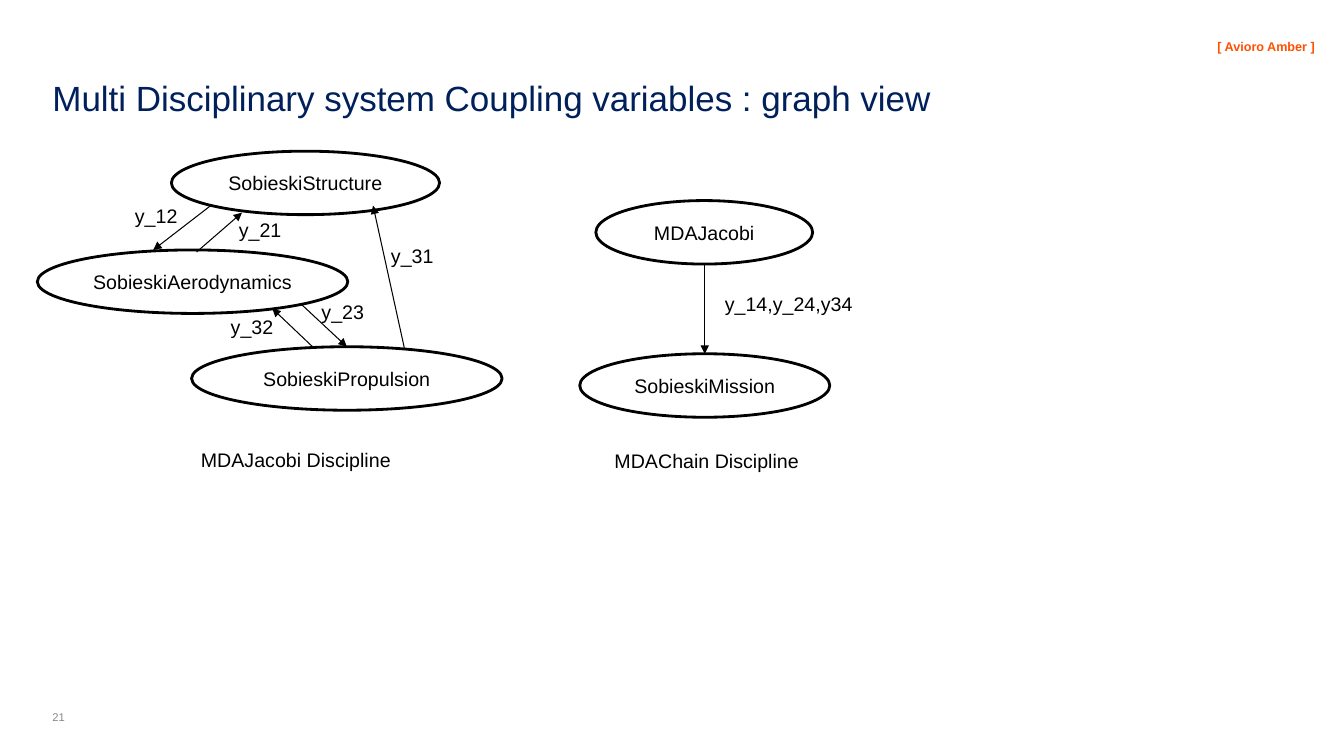
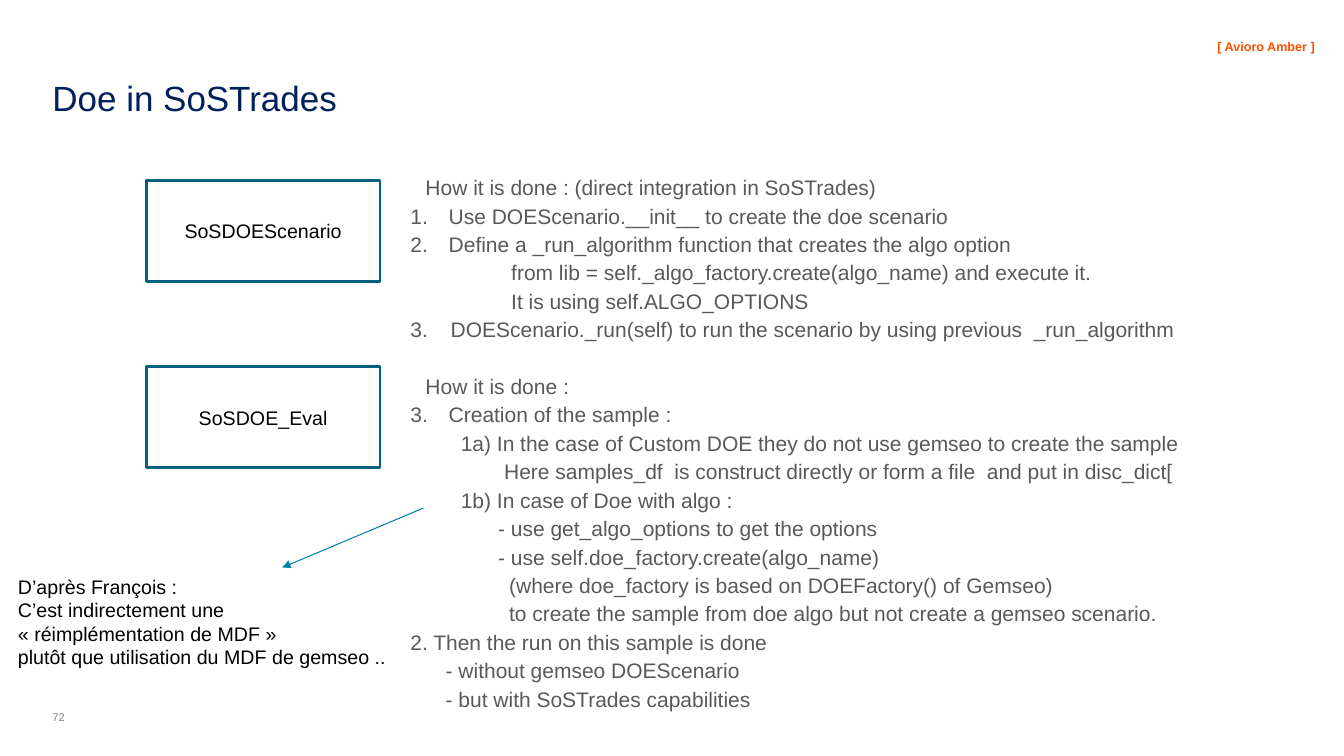
from lxml.etree import SubElement
from pptx import Presentation
from pptx.dml.color import RGBColor
from pptx.enum.shapes import MSO_CONNECTOR, MSO_SHAPE
from pptx.enum.text import MSO_ANCHOR, MSO_AUTO_SIZE, PP_ALIGN
from pptx.oxml.ns import qn
from pptx.util import Emu, Pt

PX = 9144  # 100 px to the inch
FONT = "Arial"
BLACK, WHITE = "000000", "FFFFFF"
NAVY, ORANGE, GREY, BODY_GREY = "00205B", "FE5000", "888888", "595959"
TEAL, BLUE = "006280", "0082A9"
LABEL_SIZE = 14
NODE_HEIGHT = LABEL_HEIGHT = 63, 34
NODE_HEIGHT, LABEL_HEIGHT = NODE_HEIGHT

# left, top, width, name
NODES = [
    (591, 199, 215, "MDAJacobi"),
    (575, 351, 248, "SobieskiMission"),
    (170, 150, 266, "SobieskiStructure"),
    (37, 248, 308, "SobieskiAerodynamics"),
    (190, 344, 308, "SobieskiPropulsion"),
]
COUPLINGS = [
    ((209, 204), (152, 248)),
    ((195, 250), (240, 211)),
    ((401, 345), (370, 204)),
    ((310, 344), (270, 306)),
    ((299, 302), (344, 344)),
    ((699, 262), (699, 351)),
]
# left, top, width, variables
COUPLING_LABELS = [
    (124, 197, 63, "y_12"),
    (227, 211, 63, "y_21"),
    (309, 293, 63, "y_23"),
    (219, 308, 63, "y_32"),
    (378, 237, 63, "y_31"),
    (709, 285, 147, "y_14,y_24,y34"),
]
GRAPH_CAPTIONS = [
    (186, 439, 215, "MDAJacobi Discipline"),
    (599, 440, 204, "MDAChain Discipline"),
]
# text, left margin, hanging indent, number the list starts at, space before in points
STEPS = [
    ("How it is done : (direct integration in SoSTrades)", 15, 0, None, 0),
    ("Use DOEScenario.__init__ to create the doe scenario", 38, 38, 1, 0),
    ("Define a _run_algorithm function that creates the algo option", 38, 38, 1, 0),
    ("from lib = self._algo_factory.create(algo_name) and execute it.", 100, 0, None, 0),
    ("It is using self.ALGO_OPTIONS", 100, 0, None, 0),
    ("3.\tDOEScenario._run(self) to run the scenario by using previous  _run_algorithm",
     40, 40, None, 0),
    ("How it is done :", 15, 0, None, 20),
    ("Creation of the sample :", 38, 38, 3, 0),
    ("1a) In the case of Custom DOE they do not use gemseo to create the sample",
     50, 0, None, 0),
    ("Here samples_df  is construct directly or form a file  and put in disc_dict[",
     93, 0, None, 0),
    ("1b) In case of Doe with algo :", 50, 0, None, 0),
    ("- use get_algo_options to get the options", 87, 0, None, 0),
    ("- use self.doe_factory.create(algo_name)", 87, 0, None, 0),
    ("(where doe_factory is based on DOEFactory() of Gemseo)", 98, 0, None, 0),
    ("to create the sample from doe algo but not create a gemseo scenario.",
     98, 0, None, 0),
    ("2. Then the run on this sample is done", 0, 0, None, 0),
    ("- without gemseo DOEScenario", 35, 0, None, 0),
    ("- but with SoSTrades capabilities", 35, 0, None, 0),
]
FRENCH_REMARK = [
    "D’après François :",
    "C’est indirectement une",
    "« réimplémentation de MDF »",
    "plutôt que utilisation du MDF de gemseo ..",
]


def px(*lengths):
    return [Emu(length * PX) for length in lengths]


def rgb(color):
    return RGBColor.from_string(color)


def write(paragraph, text, size, color=BLACK, bold=False, align=PP_ALIGN.LEFT,
          spacing=None):
    run = paragraph.add_run()
    run.text = text
    run.font.name = FONT
    run.font.size = Pt(size)
    run.font.bold = bold
    run.font.color.rgb = rgb(color)
    paragraph.alignment = align
    if spacing:
        paragraph.line_spacing = spacing


def clear_insets(frame):
    frame.margin_left = frame.margin_top = frame.margin_right = frame.margin_bottom = 0


def place_placeholder(placeholder, left, top, width, height):
    """Move a placeholder and return its text frame, top-anchored without insets."""
    placeholder.left, placeholder.top, placeholder.width, placeholder.height = px(
        left, top, width, height)
    frame = placeholder.text_frame
    clear_insets(frame)
    frame.vertical_anchor = MSO_ANCHOR.TOP
    frame.auto_size = MSO_AUTO_SIZE.NONE
    frame.word_wrap = True
    return frame


def add_marking(slide, box, text, size, color, **style):
    frame = slide.shapes.add_textbox(*px(*box)).text_frame
    clear_insets(frame)
    frame.word_wrap = True
    write(frame.paragraphs[0], text, size, color, **style)


def add_titled_slide(deck, layout_index, title, number):
    slide = deck.slides.add_slide(deck.slide_layouts[layout_index])
    frame = place_placeholder(slide.shapes.title, 52, 72, 1228, 98)
    write(frame.paragraphs[0], title, 25, NAVY, spacing=1.1)
    add_marking(slide, (52, 705, 31, 24), number, 8, GREY)
    add_marking(slide, (1203, 37, 101, 16), "[ Avioro Amber ]", 9, ORANGE,
                bold=True, align=PP_ALIGN.RIGHT, spacing=1.13)
    return slide


def add_node(slide, outline, box, name, line_color, fill=None):
    node = slide.shapes.add_shape(outline, *px(*box))
    node.shadow.inherit = False
    if fill:
        node.fill.solid()
        node.fill.fore_color.rgb = rgb(fill)
    else:
        node.fill.background()
    node.line.color.rgb = rgb(line_color)
    node.line.width = Pt(2)
    node.text_frame.vertical_anchor = MSO_ANCHOR.MIDDLE
    write(node.text_frame.paragraphs[0], name, LABEL_SIZE, align=PP_ALIGN.CENTER)


def add_arrow(slide, start, end, color):
    arrow = slide.shapes.add_connector(MSO_CONNECTOR.STRAIGHT, *px(*start, *end))
    arrow.line.color.rgb = rgb(color)
    arrow.line.width = Pt(0.75)
    SubElement(arrow.line._get_or_add_ln(), qn("a:tailEnd"), type="triangle")
    SubElement(arrow._element.spPr, qn("a:effectLst"))


def add_label(slide, box, lines, align=PP_ALIGN.LEFT):
    frame = slide.shapes.add_textbox(*px(*box)).text_frame
    frame.word_wrap = False
    frame.auto_size = MSO_AUTO_SIZE.SHAPE_TO_FIT_TEXT
    for index, line in enumerate(lines):
        paragraph = frame.add_paragraph() if index else frame.paragraphs[0]
        write(paragraph, line, LABEL_SIZE, align=align)


def set_list_format(paragraph, margin, hanging, first_number):
    properties = paragraph._p.get_or_add_pPr()
    properties.set("marL", str(margin * PX))
    properties.set("indent", str(-hanging * PX))
    if first_number is None:
        SubElement(properties, qn("a:buNone"))
        return
    numbering = SubElement(properties, qn("a:buAutoNum"), type="arabicPeriod")
    if first_number > 1:
        numbering.set("startAt", str(first_number))


def fill_steps(frame):
    for index, (text, margin, hanging, first_number, gap) in enumerate(STEPS):
        paragraph = frame.add_paragraph() if index else frame.paragraphs[0]
        set_list_format(paragraph, margin, hanging, first_number)
        paragraph.space_before = Pt(gap)
        write(paragraph, text, 15, BODY_GREY, spacing=1.13)


def build_coupling_graph(deck):
    slide = add_titled_slide(
        deck, 5, "Multi Disciplinary system Coupling variables : graph view", "21")
    for left, top, width, name in NODES:
        add_node(slide, MSO_SHAPE.OVAL, (left, top, width, NODE_HEIGHT), name, BLACK)
    for start, end in COUPLINGS:
        add_arrow(slide, start, end, BLACK)
    for labels, align in ((COUPLING_LABELS, PP_ALIGN.LEFT),
                          (GRAPH_CAPTIONS, PP_ALIGN.CENTER)):
        for left, top, width, text in labels:
            add_label(slide, (left, top, width, LABEL_HEIGHT), [text], align)


def build_doe_steps(deck):
    slide = add_titled_slide(deck, 1, "Doe in SoSTrades", "72")
    fill_steps(place_placeholder(slide.placeholders[1], 407, 170, 881, 555))
    for top, name in ((179, "SoSDOEScenario"), (364, "SoSDOE_Eval")):
        add_node(slide, MSO_SHAPE.RECTANGLE, (145, top, 232, 100), name, TEAL, WHITE)
    add_arrow(slide, (420, 504), (280, 563), BLUE)
    add_label(slide, (8, 565, 387, 104), FRENCH_REMARK)


def main():
    deck = Presentation()
    deck.slide_width, deck.slide_height = px(1333, 750)
    build_coupling_graph(deck)
    build_doe_steps(deck)
    deck.save("out.pptx")


if __name__ == "__main__":
    main()
